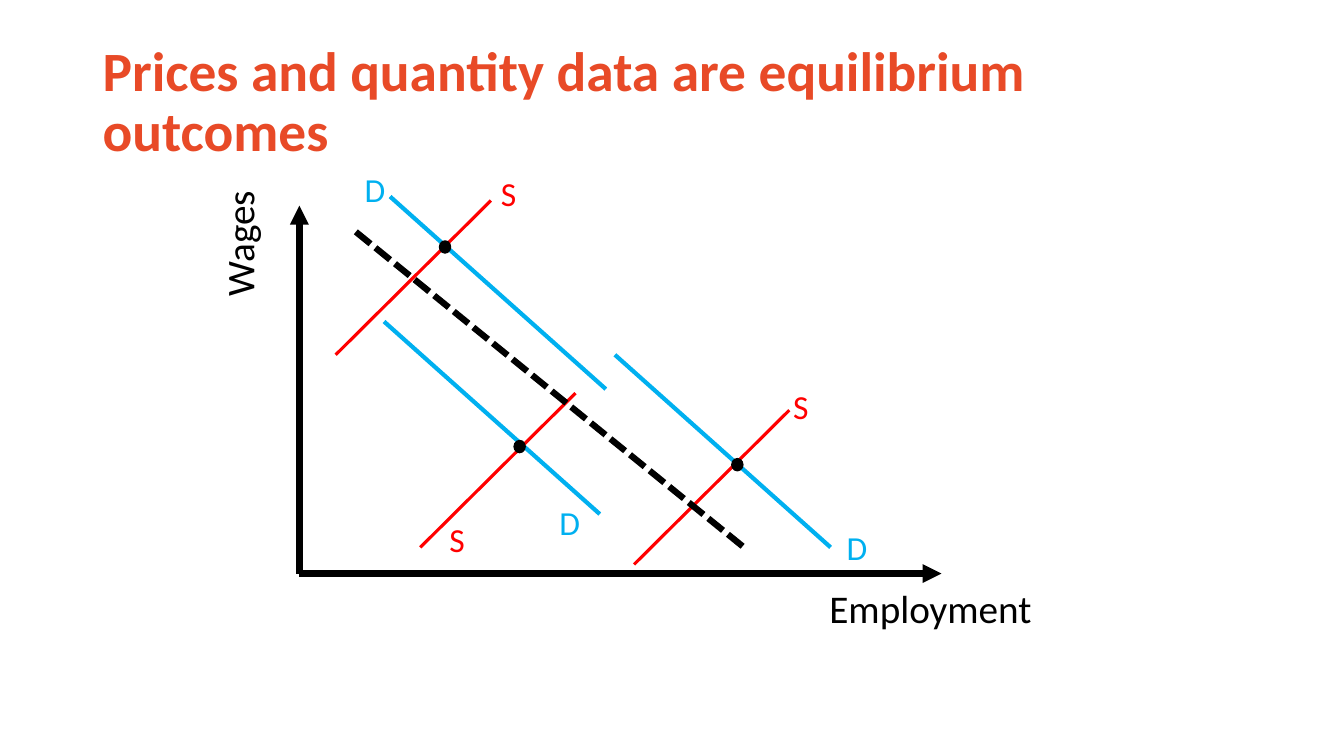
from dataclasses import dataclass

from pptx import Presentation
from pptx.dml.color import RGBColor
from pptx.enum.shapes import MSO_CONNECTOR, MSO_SHAPE
from pptx.enum.text import MSO_ANCHOR
from pptx.oxml.ns import qn
from pptx.util import Inches, Pt
from lxml.etree import SubElement


@dataclass(frozen=True)
class Theme:
    font: str = "Calibri"
    title: str = "E84A27"
    ink: str = "000000"
    demand: str = "00B0F0"
    supply: str = "FF0000"
    title_size: float = 39.6
    axis_size: float = 28
    label_size: float = 24
    heavy: float = 4.5
    demand_width: float = 3
    supply_width: float = 2.25


COLS, ROWS = 133.33, 75  # grid cells across and down the slide
CELL = Inches(0.1)


def grid(*cells):
    return [round(c * CELL) for c in cells]


class Diagram:
    def __init__(self, prs, theme):
        self.theme = theme
        self.s = prs.slides.add_slide(prs.slide_layouts[6])

    def text(self, words, box, size, color, bold=False, spacing=None, rotation=0):
        sp = self.s.shapes.add_textbox(*grid(*box))
        sp.rotation = rotation
        tf = sp.text_frame
        tf.word_wrap = True
        tf.vertical_anchor = MSO_ANCHOR.TOP
        p = tf.paragraphs[0]
        if spacing:
            p.line_spacing = spacing
        r = p.add_run()
        r.text = words
        r.font.name = self.theme.font
        r.font.size = Pt(size)
        r.font.bold = bold
        r.font.color.rgb = RGBColor.from_string(color)

    def line(self, x, y, dx, dy, color, width, dash=None, arrow=False):
        """Draw a line from (x, y) that runs dx columns and dy rows."""
        c = self.s.shapes.add_connector(
            MSO_CONNECTOR.STRAIGHT, *grid(x, y, x + dx, y + dy))
        c.line.color.rgb = RGBColor.from_string(color)
        c.line.width = Pt(width)
        ln = c.line._get_or_add_ln()
        if dash:
            SubElement(ln, qn("a:prstDash"), val=dash)
        if arrow:
            SubElement(ln, qn("a:tailEnd"), type="triangle")
        SubElement(c._element.spPr, qn("a:effectLst"))

    def dot(self, x, y, w=1.1, h=1.2):
        sp = self.s.shapes.add_shape(MSO_SHAPE.OVAL, *grid(x, y, w, h))
        sp.shadow.inherit = False
        ink = RGBColor.from_string(self.theme.ink)
        sp.fill.solid()
        sp.fill.fore_color.rgb = ink
        sp.line.color.rgb = ink
        sp.line.width = Pt(1)


def main():
    prs = Presentation()
    prs.slide_width, prs.slide_height = grid(COLS, ROWS)
    t = Theme()
    d = Diagram(prs, t)

    d.text("Prices and quantity data are equilibrium outcomes",
           (9.2, 3.8, 115, 7.1), t.title_size, t.title, bold=True, spacing=0.9)

    origin = (29.7, 56.9)
    for reach in ((0, -36.5), (63.7, 0)):
        d.line(*origin, *reach, t.ink, t.heavy, arrow=True)

    for start in ((38.7, 19.5), (38.1, 31.9), (61, 35.2)):
        d.line(*start, 21.4, 19.1, t.demand, t.demand_width)
    for start in ((33.3, 35.2), (41.7, 54.3), (62.9, 56)):
        d.line(*start, 15.4, -15.3, t.supply, t.supply_width)
    for equilibrium in ((43.6, 23.9), (51, 43.7), (72.6, 45.5)):
        d.dot(*equilibrium)
    d.line(35.3, 23, 38.5, 31.3, t.ink, t.heavy, dash="sysDash")

    curve_labels = (
        ("S", t.supply, ((48.7, 16.7), (77.7, 37.8), (43.6, 51))),
        ("D", t.demand, ((35.2, 16.3), (54.5, 49.3), (83, 51.8))),
    )
    for letter, color, places in curve_labels:
        for place in places:
            d.text(letter, (*place, 3.6, 5), t.label_size, color)

    d.text("Employment", (81.3, 57.5, 27.4, 5.7), t.axis_size, t.ink)
    d.text("Wages", (16.9, 20.7, 13.6, 5.7), t.axis_size, t.ink, rotation=270)

    prs.save("out.pptx")


if __name__ == "__main__":
    main()
